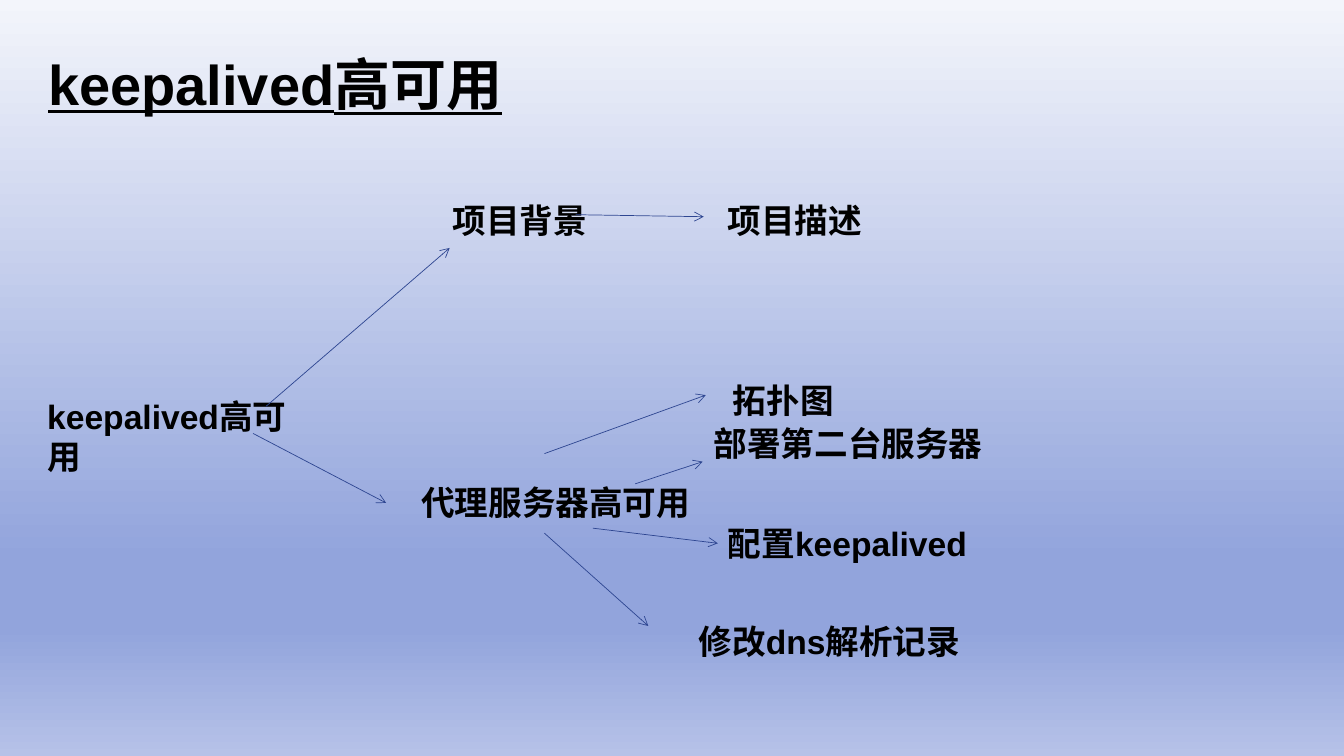
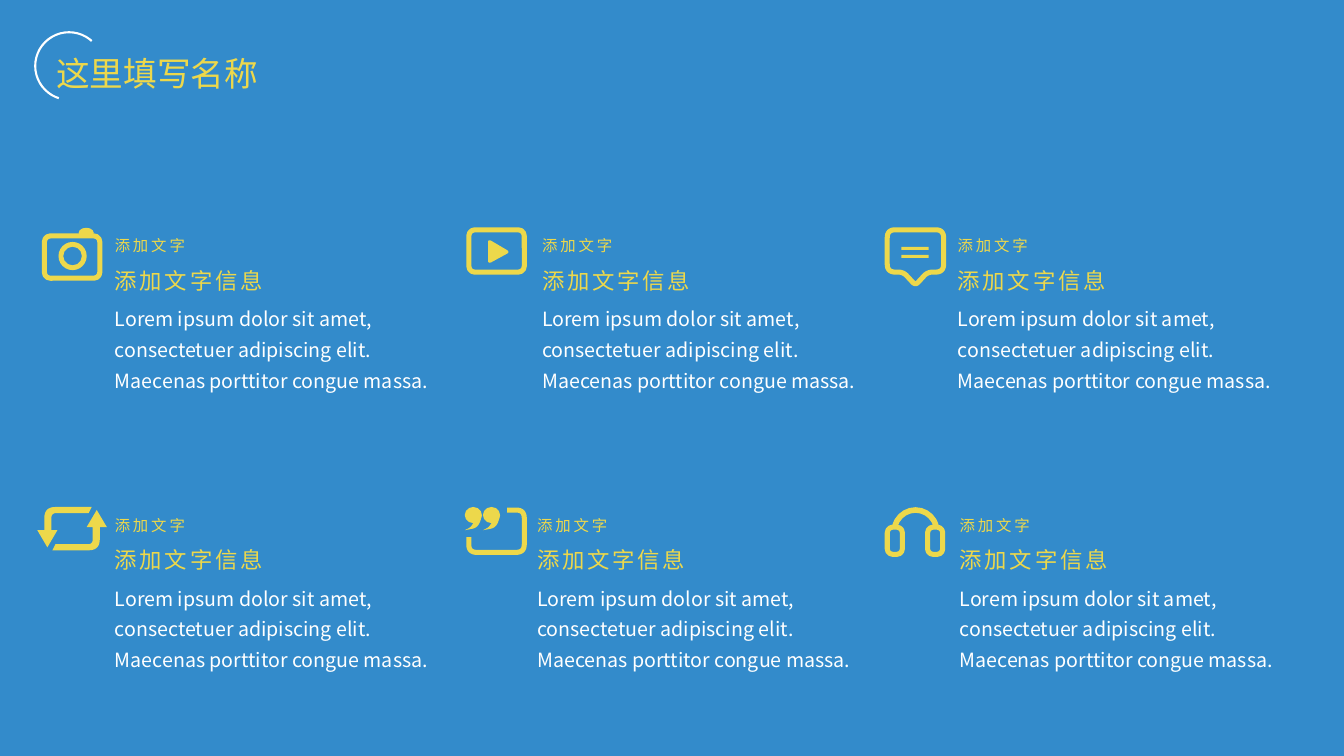
from math import hypot

from lxml.etree import SubElement
from pptx import Presentation
from pptx.dml.color import RGBColor
from pptx.enum.shapes import MSO_CONNECTOR, MSO_SHAPE
from pptx.enum.text import MSO_AUTO_SIZE, PP_ALIGN
from pptx.oxml.ns import qn
from pptx.util import Inches, Pt

BLACK = RGBColor(0x00, 0x00, 0x00)
WHITE = RGBColor(0xFF, 0xFF, 0xFF)
NAVY = RGBColor(0x2E, 0x46, 0x91)
BLUE = RGBColor(0x33, 0x8B, 0xCB)
YELLOW = RGBColor(0xED, 0xD8, 0x4B)
GRADIENT_STOPS = [
    (0, RGBColor(0xF3, 0xF5, 0xFB)),
    (74, RGBColor(0x92, 0xA4, 0xDC)),
    (83, RGBColor(0x92, 0xA4, 0xDC)),
    (100, RGBColor(0xB6, 0xC2, 0xE8)),
]
CJK_FONT = "Noto Sans CJK SC"

# Text formats
MAP_TITLE = {"name": "Arial", "size": Pt(40), "bold": True, "underline": True}
MAP_LABEL = {"name": "Arial", "size": Pt(24), "bold": True}
PAGE_TITLE = {"name": CJK_FONT, "size": Pt(24)}
CARD_LABEL = {"name": CJK_FONT, "size": Pt(11)}
CARD_HEADING = {"name": CJK_FONT, "size": Pt(16)}
CARD_BODY = {"name": CJK_FONT, "size": Pt(14)}


def add_text(slide, text, left, top, width, height, font_format, color,
             paragraph_format=None, spacing=0):
    box = slide.shapes.add_textbox(
        Inches(left), Inches(top), Inches(width), Inches(height))
    frame = box.text_frame
    frame.word_wrap = True
    frame.auto_size = MSO_AUTO_SIZE.SHAPE_TO_FIT_TEXT
    paragraph = frame.paragraphs[0]
    for name, value in (paragraph_format or {}).items():
        setattr(paragraph, name, value)
    run = paragraph.add_run()
    run.text = text
    for name, value in font_format.items():
        setattr(run.font, name, value)
    run.font.color.rgb = color
    properties = run.font._element
    if spacing:
        properties.set("spc", str(spacing * 100))
    latin = properties.find(qn("a:latin"))
    east_asian = SubElement(properties, qn("a:ea"), typeface=CJK_FONT)
    latin.addnext(east_asian)
    return box


def add_rounded_outline(slide, corners, closed=True):
    """Draw a polyline; a corner (x, y, radius) with a radius is rounded."""
    points = []
    for index, (x, y, radius) in enumerate(corners):
        if not radius:
            points.append((x, y))
            continue
        ends = []
        for neighbour in (index - 1, (index + 1) % len(corners)):
            dx, dy = corners[neighbour][0] - x, corners[neighbour][1] - y
            share = min(radius / hypot(dx, dy), 0.5)
            ends.append((x + dx * share, y + dy * share))
        (start_x, start_y), (end_x, end_y) = ends
        for step in range(9):
            t = step / 8
            points.append((
                (1 - t) ** 2 * start_x + 2 * t * (1 - t) * x + t ** 2 * end_x,
                (1 - t) ** 2 * start_y + 2 * t * (1 - t) * y + t ** 2 * end_y))
    points = [(Inches(x), Inches(y)) for x, y in points]
    builder = slide.shapes.build_freeform(*points[0])
    builder.add_line_segments(points[1:], close=closed)
    return builder.convert_to_shape()


presentation = Presentation()
presentation.slide_width = Inches(13.33)
presentation.slide_height = Inches(7.5)
blank_layout = presentation.slide_layouts[6]

# Slide 1: mind map on a vertical gradient
slide = presentation.slides.add_slide(blank_layout)
background = slide.background.fill
background.gradient()
background.gradient_angle = 270
stop_list = slide.element.find(".//" + qn("a:gsLst"))
for stop in list(stop_list):
    stop_list.remove(stop)
for position, color in GRADIENT_STOPS:
    stop = SubElement(stop_list, qn("a:gs"), pos=str(position * 1000))
    SubElement(stop, qn("a:srgbClr"), val=str(color))

add_text(slide, "keepalived高可用", 0.38, 0.44, 4.71, 0.77, MAP_TITLE, BLACK)

labels = {}
for text, left, top, width in [
    ("keepalived高可用", 0.37, 3.88, 2.9),
    ("项目背景", 4.39, 1.93, 1.6),
    ("项目描述", 7.12, 1.93, 1.86),
    ("代理服务器高可用", 4.08, 4.73, 3),
    ("拓扑图", 7.17, 3.72, 1.3),
    ("部署第二台服务器", 6.98, 4.15, 2.95),
    ("配置keepalived", 7.12, 5.14, 2.85),
    ("修改dns解析记录", 6.83, 6.11, 3.39),
]:
    labels[text] = add_text(
        slide, text, left, top, width, 0.5, MAP_LABEL, BLACK)

# Arrows between the labels
for start_x, start_y, end_x, end_y, target in [
    (2.64, 4.03, 4.46, 2.46, None),
    (2.51, 4.3, 3.83, 4.99, None),
    (5.71, 2.13, 6.98, 2.15, None),
    (5.4, 4.5, 7, 3.92, None),
    (6.3, 4.8, 6.97, 4.58, None),
    (5.88, 5.24, 7.12, 5.39, "配置keepalived"),
    (5.4, 5.29, 6.43, 6.21, None),
]:
    arrow = slide.shapes.add_connector(
        MSO_CONNECTOR.STRAIGHT, Inches(start_x), Inches(start_y),
        Inches(end_x), Inches(end_y))
    if target:
        arrow.end_connect(labels[target], 1)
    arrow.line.color.rgb = NAVY
    arrow.line.width = Pt(0.5)
    SubElement(arrow.line._get_or_add_ln(), qn("a:tailEnd"), type="arrow")
    SubElement(arrow._element.spPr, qn("a:effectLst"))

# Slide 2: six cards with icons
slide = presentation.slides.add_slide(blank_layout)
panel = slide.shapes.add_shape(
    MSO_SHAPE.RECTANGLE, 0, 0,
    presentation.slide_width, presentation.slide_height)
panel.shadow.inherit = False
panel.fill.solid()
panel.fill.fore_color.rgb = BLUE
panel.line.fill.background()

# Icon parts: each is (shape, line width or 0 for filled, colour)
parts = []
ROUNDED, OVAL = MSO_SHAPE.ROUNDED_RECTANGLE, MSO_SHAPE.OVAL
BAR, ARC = MSO_SHAPE.RECTANGLE, MSO_SHAPE.ARC
for preset, left, top, width, height, adjustments, line_width, color in [
    # Title ring
    (ARC, 0.35, 0.32, 0.67, 0.67, (64.52, 187.35), 1.5, WHITE),
    # Camera
    (ROUNDED, 0.44, 2.34, 0.55, 0.42, (0.14,), 3.6, YELLOW),
    (OVAL, 0.78, 2.26, 0.15, 0.1, (), 0, YELLOW),
    (MSO_SHAPE.DONUT, 0.58, 2.4, 0.28, 0.28, (0.17,), 0, YELLOW),
    # Video frame
    (ROUNDED, 4.65, 2.28, 0.55, 0.42, (0.14,), 3.6, YELLOW),
    # Lines in the speech bubble
    (BAR, 8.94, 2.45, 0.27, 0.03, (), 0, YELLOW),
    (BAR, 8.94, 2.53, 0.27, 0.03, (), 0, YELLOW),
    # Quote dots
    (OVAL, 4.61, 5.03, 0.17, 0.16, (), 0, YELLOW),
    (OVAL, 4.79, 5.03, 0.17, 0.16, (), 0, YELLOW),
    # Headphones
    (ARC, 8.87, 5.06, 0.42, 0.42, (115, 209), 4, YELLOW),
    (ROUNDED, 8.8, 5.23, 0.15, 0.27, (0.37,), 3.6, YELLOW),
    (ROUNDED, 9.2, 5.23, 0.15, 0.27, (0.37,), 3.6, YELLOW),
]:
    shape = slide.shapes.add_shape(
        preset, Inches(left), Inches(top), Inches(width), Inches(height))
    for index, value in enumerate(adjustments):
        shape.adjustments[index] = value
    parts.append((shape, line_width, color))

play_mark = [(4.84, 2.37, 0.04), (5.06, 2.5, 0.04), (4.84, 2.62, 0.04)]
bubble = [(8.8, 2.28, 0.08), (9.36, 2.28, 0.08), (9.36, 2.7, 0.08),
          (9.2, 2.7, 0.05), (9.08, 2.83, 0.04), (8.96, 2.7, 0.05),
          (8.8, 2.7, 0.08)]
quote_frame = [(5.03, 5.06, 0), (5.2, 5.06, 0.08), (5.2, 5.48, 0.08),
               (4.65, 5.48, 0.08), (4.65, 5.33, 0)]
quote_tail = [(4.78, 5.11, 0), (4.76, 5.19, 0.04), (4.72, 5.24, 0.04),
              (4.61, 5.26, 0), (4.67, 5.23, 0.03), (4.7, 5.18, 0)]
repeat_arrow = [(0.51, 5.26, 0), (0.51, 5.09, 0.05), (0.88, 5.09, 0),
                (0.91, 5.03, 0), (0.44, 5.03, 0.11), (0.44, 5.26, 0),
                (0.37, 5.26, 0), (0.47, 5.43, 0), (0.57, 5.26, 0)]
for corners, closed, line_width in [
    (play_mark, True, 0),
    (bubble, True, 3.6),
    (quote_frame, False, 3.6),
    (quote_tail, True, 0),
    ([(x + 0.18, y, radius) for x, y, radius in quote_tail], True, 0),
    (repeat_arrow, True, 0),
    ([(1.43 - x, 10.49 - y, radius) for x, y, radius in repeat_arrow], True, 0),
]:
    shape = add_rounded_outline(slide, corners, closed)
    parts.append((shape, line_width, YELLOW))

for shape, line_width, color in parts:
    shape.shadow.inherit = False
    if line_width:
        shape.fill.background()
        shape.line.color.rgb = color
        shape.line.width = Pt(line_width)
    else:
        shape.fill.solid()
        shape.fill.fore_color.rgb = color
        shape.line.fill.background()

# Title and card texts
add_text(slide, "这里填写名称", 0.46, 0.48, 2.32, 0.5, PAGE_TITLE, YELLOW)

LOREM = ("Lorem ipsum dolor sit amet, consectetuer adipiscing elit. "
         "Maecenas porttitor congue massa.")
for label_top, card_lefts in [(2.26, (1.04, 5.28, 9.4)),
                              (5.03, (1.04, 5.23, 9.42))]:
    for left in card_lefts:
        add_text(slide, "添加文字", left, label_top, 1, 0.3,
                 CARD_LABEL, YELLOW, {"line_spacing": 1.2}, 2)
        add_text(slide, "添加文字信息", left, label_top + 0.29, 1.87, 0.4,
                 CARD_HEADING, YELLOW,
                 {"line_spacing": 1.2, "alignment": PP_ALIGN.JUSTIFY}, 2)
        add_text(slide, LOREM, left, label_top + 0.67, 3.66, 0.99,
                 CARD_BODY, WHITE, {"line_spacing": 1.3})

presentation.save("out.pptx")
